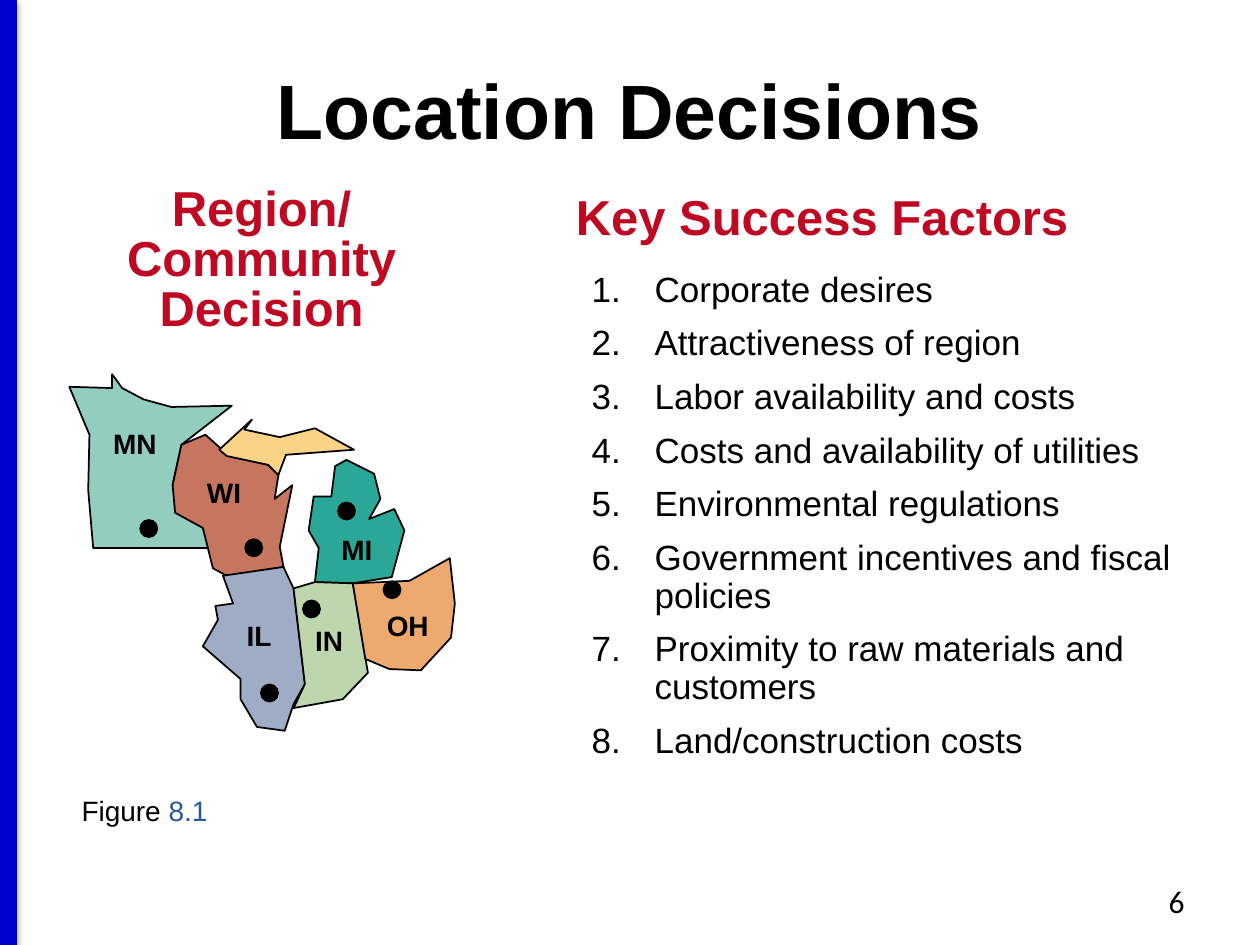
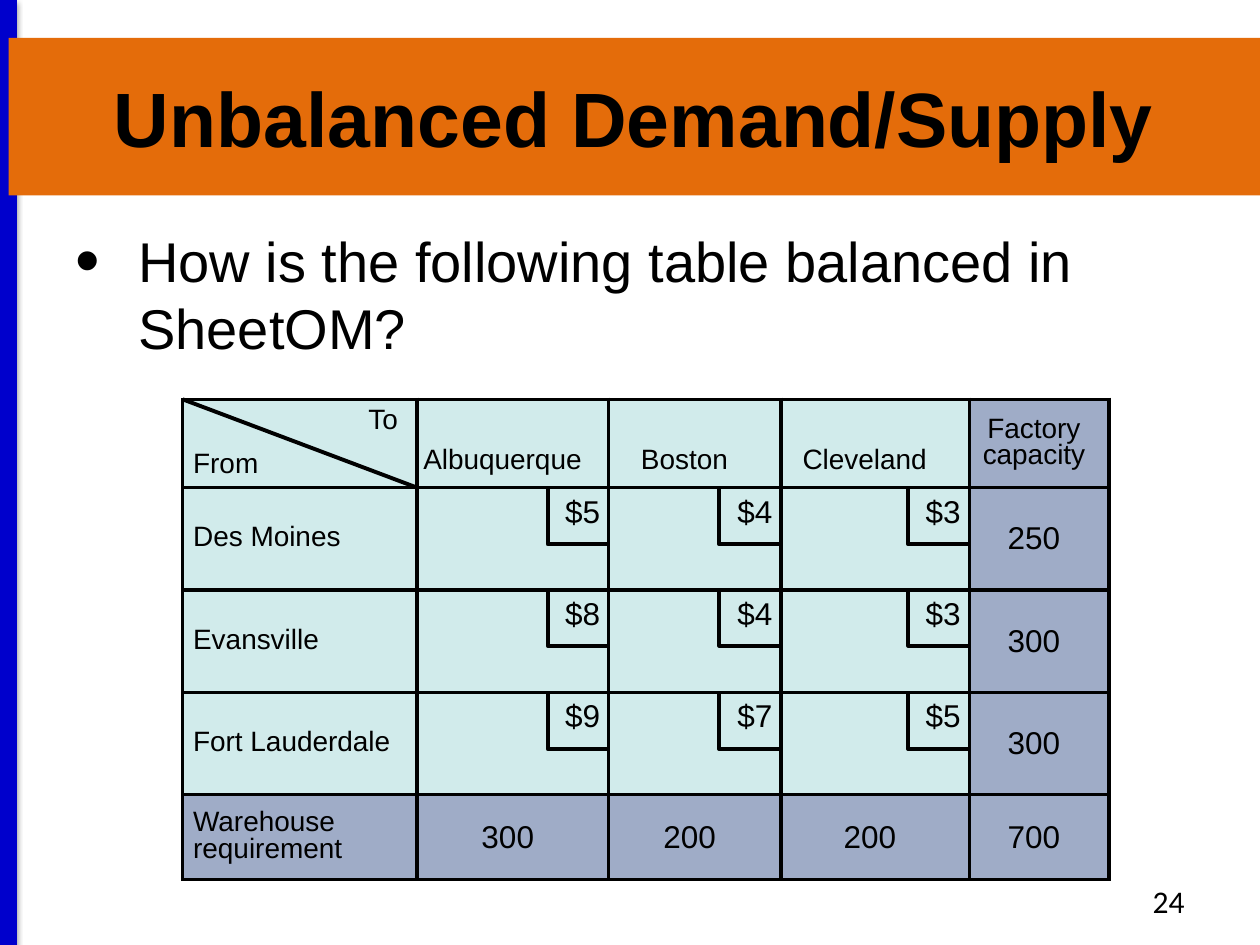
from itertools import accumulate

from lxml import etree
from pptx import Presentation
from pptx.dml.color import RGBColor
from pptx.enum.shapes import MSO_CONNECTOR as Connector, MSO_SHAPE as Shape
from pptx.enum.text import MSO_ANCHOR as Anchor, PP_ALIGN as Align
from pptx.oxml import parse_xml
from pptx.oxml.ns import nsdecls, qn
from pptx.util import Pt

COLORS = {
    "black": "000000", "stripe": "0000CC", "band": "E46C0A",
    "heading": "BF0922", "reference": "255898",
    "cell": "D1EBEB", "total": "9FACC7",
    "MN": "92CDBF", "WI": "C6755F", "upper MI": "FAD386", "MI": "2BA797",
    "IL": "9FACC6", "IN": "BED6AD", "OH": "EEA96F",
}
RGB = {name: RGBColor.from_string(value) for name, value in COLORS.items()}
TITLE = {"size": Pt(44), "bold": True}
HEADING = {"size": Pt(28), "bold": True}
SMALL = {"size": Pt(16)}
FIGURE = {"size": Pt(18)}
CENTER = {"alignment": Align.CENTER}
RIGHT = {"alignment": Align.RIGHT}
TIGHT = {"line_spacing": 0.85}


def write(paragraph, text, font, layout={}, color="black"):
    """Add a run to the paragraph, with font values and paragraph layout values."""
    run = paragraph.add_run()
    run.text = text
    for name, value in {"name": "Arial", **font}.items():
        setattr(run.font, name, value)
    run.font.color.rgb = RGB[color]
    for name, value in layout.items():
        setattr(paragraph, name, value)


def add_box(shapes, left, top, width, height, wrap=True):
    """Add a text box, lengths in points, and return its text frame."""
    box = shapes.add_textbox(Pt(left), Pt(top), Pt(width), Pt(height))
    box.text_frame.word_wrap = wrap
    return box.text_frame


presentation = Presentation()
presentation.slide_width, presentation.slide_height = Pt(720), Pt(540)

# Parts that both slides share
slides = []
for number in ("6", "24"):
    slide = presentation.slides.add_slide(presentation.slide_layouts[6])
    stripe = slide.shapes.add_connector(Connector.STRAIGHT, Pt(5), 0, Pt(5), Pt(540))
    stripe.line.color.rgb = RGB["stripe"]
    stripe.line.width = Pt(10)
    stripe._element.spPr.append(parse_xml(
        f'<a:effectLst {nsdecls("a")}>'
        f'<a:outerShdw blurRad="{Pt(3.1)}" dist="{Pt(1.6)}" dir="5400000" rotWithShape="0">'
        f'<a:srgbClr val="{COLORS["black"]}"><a:alpha val="38000"/></a:srgbClr>'
        '</a:outerShdw></a:effectLst>'))
    write(add_box(slide.shapes, 516, 500.4, 168, 29).paragraphs[0], number,
          {**FIGURE, "name": "Calibri"}, RIGHT)
    slides.append(slide)
location_slide, balance_slide = slides

# Slide 1: headings
shapes = location_slide.shapes
title = add_box(shapes, 54, 28, 612, 68)
title.vertical_anchor = Anchor.MIDDLE
write(title.paragraphs[0], "Location Decisions", TITLE, CENTER)
write(add_box(shapes, 55.5, 103, 188, 94).paragraphs[0], "Region/ Community Decision",
      HEADING, {**CENTER, **TIGHT}, "heading")
write(add_box(shapes, 322, 103, 296, 41, wrap=False).paragraphs[0],
      "Key Success Factors", HEADING, color="heading")
caption = add_box(shapes, 39.6, 450, 90, 26.5, wrap=False).paragraphs[0]
write(caption, "Figure ", SMALL)
write(caption, "8.1", SMALL, color="reference")

# Slide 1: numbered factors
factors = [
    "Corporate desires",
    "Attractiveness of region",
    "Labor availability and costs",
    "Costs and availability of utilities",
    "Environmental regulations",
    "Government incentives and fiscal policies",
    "Proximity to raw materials and customers",
    "Land/construction costs",
]
factor_frame = add_box(shapes, 331, 152, 374, 293)
for index, factor in enumerate(factors):
    paragraph = factor_frame.add_paragraph() if index else factor_frame.paragraphs[0]
    properties = paragraph._p.get_or_add_pPr()
    properties.set("marL", str(Pt(36)))
    properties.set("indent", str(Pt(-36)))
    etree.SubElement(properties, qn("a:buFont"), typeface="Arial")
    etree.SubElement(properties, qn("a:buAutoNum"), type="arabicPeriod")
    write(paragraph, factor, {"size": Pt(20)}, {"line_spacing": 0.9, "space_after": Pt(9)})

# Slide 1: map, outlines in units of 0.72 pt
outlines = {
    "MN": [(55, 307), (89, 308), (89, 297), (97, 308), (114, 317), (136, 323), (184, 322),
           (144, 353), (137, 385), (161, 419), (166, 435), (74, 435), (70, 389), (71, 345)],
    "WI": [(144, 353), (163, 345), (182, 362), (213, 369), (221, 377), (218, 396),
           (232, 385), (222, 434), (225, 450), (180, 457), (169, 451), (161, 419),
           (139, 407), (137, 385)],
    "upper MI": [(174, 357), (200, 333), (194, 341), (222, 347), (250, 340), (281, 357),
                 (227, 361), (221, 377), (213, 369), (180, 362)],
    "MI": [(266, 370), (263, 394), (249, 394), (245, 421), (253, 435), (250, 462),
           (280, 463), (311, 458), (321, 421), (313, 404), (293, 412), (302, 396),
           (297, 376), (275, 365)],
    "IL": [(177, 457), (225, 450), (233, 467), (242, 543), (233, 559), (226, 580),
           (204, 577), (191, 555), (191, 539), (161, 513), (173, 492), (171, 481),
           (185, 479)],
    "IN": [(233, 467), (250, 462), (280, 463), (292, 534), (272, 555), (233, 562),
           (242, 543)],
    "OH": [(280, 463), (325, 461), (357, 443), (361, 479), (358, 506), (334, 532),
           (309, 531), (290, 523)],
}
# Centres of each state's label and dot
state_marks = {
    "MN": ((77, 253), (85, 302)), "WI": ((128, 281), (145, 313)),
    "MI": ((204, 314), (198, 292)), "IL": ((148, 363), (154, 396)),
    "IN": ((188, 366), (178, 348)), "OH": ((233, 357), (224, 337)),
}
state_map = shapes.add_group_shape().shapes
for state, points in outlines.items():
    builder = state_map.build_freeform(*points[0], scale=float(Pt(0.72)))
    builder.add_line_segments(points[1:], close=True)
    outline = builder.convert_to_shape()
    outline.shadow.inherit = False
    outline.fill.solid()
    outline.fill.fore_color.rgb = RGB[state]
    outline.line.color.rgb = RGB["black"]
    outline.line.width = Pt(1)
for state, ((label_x, label_y), (dot_x, dot_y)) in state_marks.items():
    label = add_box(state_map, label_x - 20, label_y - 13, 40, 26, wrap=False)
    write(label.paragraphs[0], state, {**SMALL, "bold": True}, CENTER)
    dot = state_map.add_shape(Shape.OVAL, Pt(dot_x - 5), Pt(dot_y - 5), Pt(10), Pt(10))
    dot.shadow.inherit = False
    dot.fill.solid()
    dot.fill.fore_color.rgb = dot.line.color.rgb = RGB["black"]
    dot.line.width = Pt(0.75)

# Slide 2: title band and question
shapes = balance_slide.shapes
band = shapes.add_shape(Shape.RECTANGLE, Pt(5), Pt(21.6), Pt(715), Pt(90))
band.shadow.inherit = False
band.fill.solid()
band.fill.fore_color.rgb = RGB["band"]
band.line.fill.background()
band.text_frame.word_wrap = True
band.text_frame.vertical_anchor = Anchor.MIDDLE
write(band.text_frame.paragraphs[0], "Unbalanced Demand/Supply", TITLE, CENTER)

question = add_box(shapes, 36, 126, 648, 90).paragraphs[0]
properties = question._p.get_or_add_pPr()
properties.set("marL", str(Pt(36)))
properties.set("indent", str(Pt(-36)))
etree.SubElement(properties, qn("a:buSzPct"), val="125000")
etree.SubElement(properties, qn("a:buFont"), typeface="Arial")
etree.SubElement(properties, qn("a:buChar"), char="•")
write(question, "How is the following table balanced in SheetOM?",
      {"size": Pt(32)}, {"space_after": Pt(12)})

# Slide 2: transport table
rows = [
    ["To", "Albuquerque", "Boston", "Cleveland", "Factory capacity"],
    ["Des Moines", "$5", "$4", "$3", "250"],
    ["Evansville", "$8", "$4", "$3", "300"],
    ["Fort Lauderdale", "$9", "$7", "$5", "300"],
    ["Warehouse requirement", "300", "200", "200", "700"],
]
column_widths = [134, 109.5, 98.5, 107.5, 80]
row_heights = [50.5, 58.5, 58.5, 58.5, 48.5]
column_edges = list(accumulate(column_widths, initial=104.4))
row_edges = list(accumulate(row_heights, initial=228.2))
last = len(rows) - 1

table = shapes.add_table(len(rows), len(column_widths), Pt(column_edges[0]), Pt(row_edges[0]),
                         Pt(sum(column_widths)), Pt(sum(row_heights))).table
table.first_row = table.horz_banding = False
for column, width in zip(table.columns, column_widths):
    column.width = Pt(width)
for row, height in zip(table.rows, row_heights):
    row.height = Pt(height)

for row_index, row in enumerate(rows):
    for column_index, text in enumerate(row):
        cell = table.cell(row_index, column_index)
        is_total = last in (row_index, column_index)
        is_header = row_index == 0 or column_index == 0
        font = SMALL if is_header else FIGURE
        margins = dict.fromkeys(("left", "right", "top", "bottom"), 0)
        anchor = Anchor.MIDDLE
        if row_index == column_index == 0:
            margins.update(left=6, right=11, top=3)
            anchor, layout = Anchor.TOP, {**RIGHT, "space_after": Pt(7)}
        elif column_index == 0:
            margins["left"] = 6
            layout = TIGHT
        elif is_total:
            margins["right"] = 6
            layout = {**CENTER, **TIGHT} if is_header else CENTER
        elif is_header:
            margins.update(right=12, bottom=7)
            anchor, layout = Anchor.BOTTOM, CENTER
        else:
            margins.update(right=5, top=4)
            anchor, layout = Anchor.TOP, RIGHT
        for side, margin in margins.items():
            setattr(cell, f"margin_{side}", Pt(margin))
        cell.vertical_anchor = anchor
        write(cell.text_frame.paragraphs[0], text, font, layout)
        for edge in ("lnL", "lnR", "lnT", "lnB"):
            cell._tc.get_or_add_tcPr().append(parse_xml(
                f'<a:{edge} {nsdecls("a")} w="{Pt(2.25)}"><a:solidFill>'
                f'<a:srgbClr val="{COLORS["black"]}"/></a:solidFill></a:{edge}>'))
        cell.fill.solid()
        cell.fill.fore_color.rgb = RGB["total" if is_total else "cell"]
write(table.cell(0, 0).text_frame.add_paragraph(), "From", SMALL)

diagonal = shapes.add_connector(Connector.STRAIGHT, Pt(column_edges[0]), Pt(row_edges[0]),
                                Pt(column_edges[1]), Pt(row_edges[1]))
etree.SubElement(diagonal._element.spPr, qn("a:effectLst"))
ruled = [diagonal]
for right in column_edges[2:-1]:
    for top in row_edges[1:last]:
        left, bottom = right - 35, top + 32
        builder = shapes.build_freeform(left, top, scale=float(Pt(1)))
        builder.add_line_segments([(left, bottom), (right, bottom)], close=False)
        price_corner = builder.convert_to_shape()
        price_corner.shadow.inherit = False
        price_corner.fill.background()
        ruled.append(price_corner)
for shape in ruled:
    shape.line.color.rgb = RGB["black"]
    shape.line.width = Pt(2.25)

presentation.save("out.pptx")
